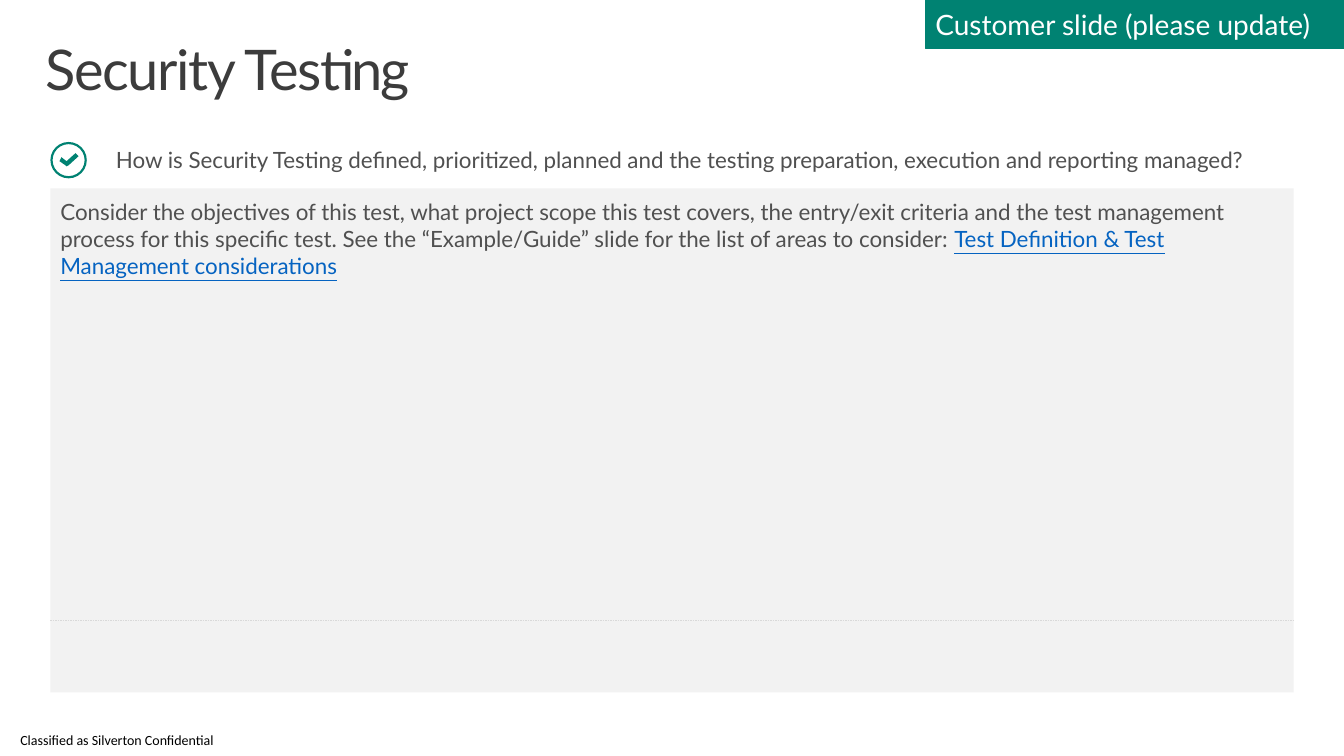
"""Build the Security Testing customer slide."""
from lxml.etree import SubElement
from pptx import Presentation
from pptx.dml.color import RGBColor
from pptx.enum.dml import MSO_LINE
from pptx.enum.shapes import MSO_CONNECTOR, MSO_SHAPE
from pptx.enum.text import MSO_ANCHOR, MSO_AUTO_SIZE, PP_ALIGN
from pptx.oxml.ns import qn
from pptx.util import Pt

TITLE = "Security Testing"
QUESTION = ("How is Security Testing defined, prioritized, planned and the testing "
            "preparation, execution and reporting managed?")
GUIDANCE = ("Consider the objectives of this test, what project scope this test covers, "
            "the entry/exit criteria and the test management process for this specific "
            "test. See the “Example/Guide” slide for the list of areas to consider: ")
REFERENCE = "Test Definition & Test Management considerations"
BANNER = "Customer slide (please update)"
CLASSIFICATION = "Classified as Silverton Confidential"

GREEN, GREY, PANEL_GREY = "008272", "505050", "F2F2F2"
WIDTH, HEIGHT = 960, 540
MARGIN = 36
PANEL_TOP, PANEL_HEIGHT = 134.6, 360
PANEL_WIDTH = WIDTH - 2 * MARGIN
BANNER_LEFT = 661
RULE_Y = 442.8
RING_TOP, RING_SIZE, RING_BAND = 101.4, 26, 0.06
CHECK = [(54, 109.4), (47.5, 115.2), (43.9, 112.3), (42.5, 115.2),
         (46.8, 118.1), (47.5, 118.8), (49, 118.1), (56.2, 111.6)]

TITLE_FONT = {"name": "Lato", "size": Pt(40), "color": "3C3C3C"}
BODY_FONT = {"name": "Lato", "size": Pt(16), "color": GREY}
LINK_FONT = {**BODY_FONT, "color": "0563C1", "underline": True}
BANNER_FONT = {"name": "Lato", "size": Pt(20), "color": "FFFFFF"}
SMALL_FONT = {"name": "Calibri", "size": Pt(10), "color": "000000"}


def box(left, top, width, height):
    return Pt(left), Pt(top), Pt(width), Pt(height)


def paint(colour_format, colour):
    colour_format.rgb = RGBColor.from_string(colour)


def fill_plain(shape, colour):
    shape.shadow.inherit = False
    shape.fill.solid()
    paint(shape.fill.fore_color, colour)
    shape.line.fill.background()


def write(shape, runs, insets, anchor=MSO_ANCHOR.TOP, align=PP_ALIGN.LEFT,
          spacing=1.0, fit=MSO_AUTO_SIZE.NONE):
    frame = shape.text_frame
    sides = ("margin_left", "margin_top", "margin_right", "margin_bottom")
    layout = dict(zip(sides, map(Pt, insets)), word_wrap=True,
                  vertical_anchor=anchor, auto_size=fit)
    for attribute, value in layout.items():
        setattr(frame, attribute, value)
    paragraph = frame.paragraphs[0]
    paragraph.alignment, paragraph.line_spacing = align, spacing
    for wording, style in runs:
        run = paragraph.add_run()
        run.text = wording
        for attribute, value in style.items():
            if attribute == "color":
                paint(run.font.color, value)
            else:
                setattr(run.font, attribute, value)
    return paragraph


def main():
    deck = Presentation()
    deck.slide_width, deck.slide_height = Pt(WIDTH), Pt(HEIGHT)
    slide = deck.slides.add_slide(deck.slide_layouts[5])
    shapes = slide.shapes

    classification = shapes.add_textbox(*box(0, 519.1, 167, 20.9))
    write(classification, [(CLASSIFICATION, SMALL_FONT)], (0, 0, 0, 0),
          MSO_ANCHOR.MIDDLE, PP_ALIGN.CENTER, 0.9, MSO_AUTO_SIZE.SHAPE_TO_FIT_TEXT)

    title = shapes.title
    title.left, title.top, title.width, title.height = box(21, 23, 918, 70.5)
    heading = write(title, [(TITLE, TITLE_FONT)], (11.5, 7.2, 11.5, 7.2), spacing=0.9)
    heading.runs[0].font._element.set("spc", "-100")

    question = shapes.add_textbox(*box(39.6, 93.6, 884.4, 41))
    write(question, [(QUESTION, BODY_FONT)], (43.2, 3.6, 7.2, 3.6), MSO_ANCHOR.MIDDLE)

    ring = shapes.add_shape(MSO_SHAPE.DONUT, *box(MARGIN, RING_TOP, RING_SIZE, RING_SIZE))
    ring.adjustments[0] = RING_BAND
    fill_plain(ring, GREEN)

    corners = [(Pt(x), Pt(y)) for x, y in CHECK]
    outline = shapes.build_freeform(*corners[0])
    outline.add_line_segments(corners[1:], close=True)
    fill_plain(outline.convert_to_shape(), GREEN)

    panel = shapes.add_shape(MSO_SHAPE.RECTANGLE,
                             *box(MARGIN, PANEL_TOP, PANEL_WIDTH, PANEL_HEIGHT))
    fill_plain(panel, PANEL_GREY)
    write(panel, [(GUIDANCE, BODY_FONT), (REFERENCE, LINK_FONT)], (7.2, 7.2, 7.2, 3.6))

    banner = shapes.add_shape(MSO_SHAPE.RECTANGLE,
                              *box(BANNER_LEFT, 0, WIDTH - BANNER_LEFT, 34.6))
    fill_plain(banner, GREEN)
    paint_line(banner.line, GREEN)
    write(banner, [(BANNER, BANNER_FONT)], (7.2, 3.6, 7.2, 3.6), MSO_ANCHOR.MIDDLE)

    rule = shapes.add_connector(MSO_CONNECTOR.STRAIGHT, Pt(MARGIN), Pt(RULE_Y),
                                Pt(MARGIN + PANEL_WIDTH), Pt(RULE_Y))
    paint_line(rule.line, "D9D9D9")
    rule.line.dash_style = MSO_LINE.DASH
    SubElement(rule._element.spPr, qn("a:effectLst"))

    deck.save("out.pptx")


def paint_line(line, colour):
    line.fill.solid()
    paint(line.fill.fore_color, colour)
    line.width = Pt(0.25)


if __name__ == "__main__":
    main()
